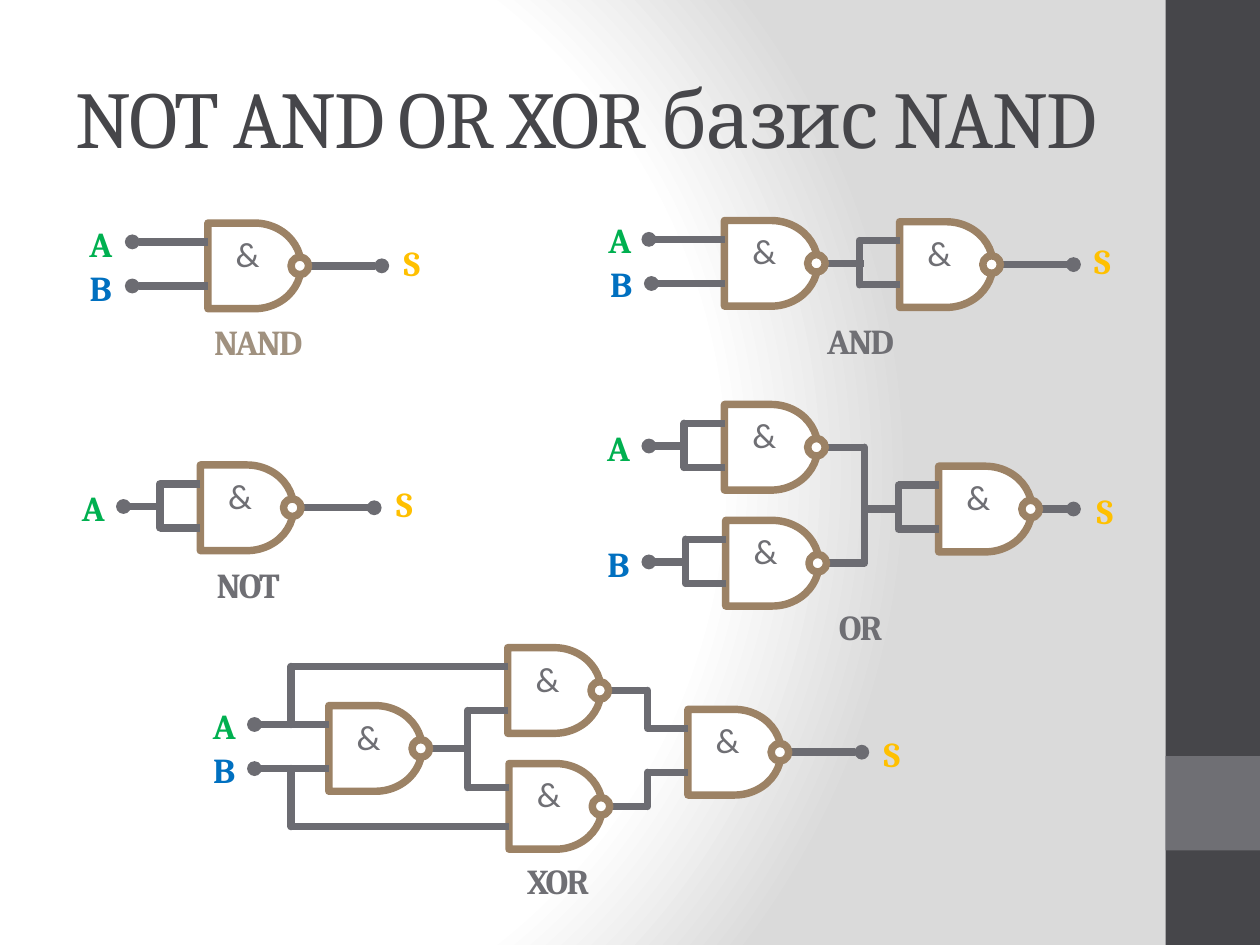
from dataclasses import dataclass

from lxml import etree
from pptx import Presentation
from pptx.dml.color import RGBColor
from pptx.enum.shapes import MSO_CONNECTOR, MSO_SHAPE
from pptx.enum.text import MSO_ANCHOR, MSO_AUTO_SIZE, PP_ALIGN
from pptx.oxml import parse_xml
from pptx.oxml.ns import nsdecls, qn
from pptx.util import Cm, Length, Pt

RECTANGLE, DELAY, OVAL = MSO_SHAPE.RECTANGLE, MSO_SHAPE.FLOWCHART_DELAY, MSO_SHAPE.OVAL
STRAIGHT = MSO_CONNECTOR.STRAIGHT
MIDDLE = MSO_ANCHOR.MIDDLE
LEFT, CENTER = PP_ALIGN.LEFT, PP_ALIGN.CENTER

DARK, GRAY, WIRE, BROWN, WHITE = "46464A", "6F6F74", "6C6C72", "9C8265", "FFFFFF"
GREEN, BLUE, YELLOW, TAN = "00B050", "0070C0", "FFC000", "A0917F"
LINE_WIDTH = Pt(4.25)
GATE_WIDTH, GATE_HEIGHT, BUBBLE = 0.74, 0.68, 0.14
FORK = 0.32  # distance from a gate to the fork joining its inputs
Point = tuple[float, float]


@dataclass
class Gate:
    left: float
    top: float

    @property
    def input_a(self) -> Point:
        return self.left, self.top + 0.15

    @property
    def input_b(self) -> Point:
        return self.left, self.top + 0.5

    @property
    def output(self) -> Point:
        return self.left + 0.8, self.top + 0.34

    @property
    def fork(self) -> Point:
        return self.left - FORK, self.top + 0.33


@dataclass
class Wire:
    points: list[Point]
    dot: bool = False


@dataclass
class Label:
    text: str
    left: float
    top: float
    color: str
    width: float = 0.5


@dataclass
class Circuit:
    gates: list[Gate]
    wires: list[Wire]
    labels: list[Label]


def grid(units: float) -> Length:
    """The drawing grid has units of 2.54 cm."""
    return Cm(2.54 * units)


def rgb(color: str) -> RGBColor:
    return RGBColor.from_string(color)


def terminal(start: Point, end_x: float) -> Wire:
    return Wire([start, (end_x, start[1])], dot=True)


def joined_inputs(gate: Gate) -> Wire:
    x = gate.fork[0]
    return Wire([gate.input_a, (x, gate.input_a[1]), (x, gate.input_b[1]), gate.input_b])


def step(start: Point, x: float, end: Point) -> Wire:
    return Wire([start, (x, start[1]), (x, end[1]), end])


def add_block(shapes, kind, left, top, width, height, fill, outline=None):
    shape = shapes.add_shape(kind, grid(left), grid(top), grid(width), grid(height))
    shape.shadow.inherit = False
    shape.fill.solid()
    shape.fill.fore_color.rgb = rgb(fill)
    if outline:
        shape.line.color.rgb = rgb(outline)
        shape.line.width = LINE_WIDTH
    else:
        shape.line.fill.background()
    return shape


def write(shape, text: str, font: str, size: float, color: str,
          bold: bool = False, tight: bool = False, align=CENTER) -> None:
    frame = shape.text_frame
    frame.word_wrap = True
    frame.vertical_anchor = MIDDLE
    paragraph = frame.paragraphs[0]
    run = paragraph.add_run()
    run.text = text
    if tight:
        run.font._element.set("spc", "-100")
    paragraph.alignment = align
    paragraph.font.name, paragraph.font.size = font, Pt(size)
    paragraph.font.bold = bold
    paragraph.font.color.rgb = rgb(color)


def add_segment(shapes, start: Point, end: Point, dot: bool) -> None:
    connector = shapes.add_connector(STRAIGHT, *map(grid, start + end))
    connector.line.color.rgb = rgb(WIRE)
    connector.line.width = LINE_WIDTH
    line = connector.line._get_or_add_ln()
    if start[0] == end[0]:
        line.set("cap", "rnd")  # round the corners of bends
    if dot:
        etree.SubElement(line, qn("a:tailEnd"), type="oval", w="sm", len="sm")
    etree.SubElement(connector._element.spPr, qn("a:effectLst"))


def add_circuit(slide, circuit: Circuit) -> None:
    shapes = slide.shapes.add_group_shape().shapes
    for gate in circuit.gates:
        body = add_block(shapes, DELAY, gate.left, gate.top, GATE_WIDTH, GATE_HEIGHT, WHITE, BROWN)
        write(body, "&", "Calibri", 20, GRAY)
        body.text_frame.margin_top = 0
        body.text_frame.margin_bottom = Cm(0.5)
    for wire in circuit.wires:
        last = len(wire.points) - 2
        for index, (start, end) in enumerate(zip(wire.points, wire.points[1:])):
            add_segment(shapes, start, end, wire.dot and index == last)
    for gate in circuit.gates:
        x, y = gate.output
        add_block(shapes, OVAL, x - BUBBLE, y - BUBBLE / 2, BUBBLE, BUBBLE, WHITE, BROWN)
    for label in circuit.labels:
        box = shapes.add_textbox(grid(label.left), grid(label.top), grid(label.width), grid(0.3))
        write(box, label.text, "Cambria", 20, label.color, bold=True, tight=True)


def build_circuits() -> list[Circuit]:
    nand, inverter = Gate(1.65, 1.77), Gate(1.59, 3.69)
    and_first, and_last = Gate(5.75, 1.75), Gate(7.14, 1.76)
    or_upper, or_lower, or_last = Gate(5.75, 3.21), Gate(5.76, 4.13), Gate(7.45, 3.7)
    xor_first, xor_upper = Gate(2.61, 5.6), Gate(4.03, 5.14)
    xor_lower, xor_last = Gate(4.04, 6.06), Gate(5.46, 5.63)
    or_bus, xor_tap, xor_fork, xor_bend = 6.86, 2.31, 3.71, 5.14
    return [
        Circuit([nand],
                [terminal(nand.input_a, 1.05), terminal(nand.input_b, 1.05),
                 terminal(nand.output, 3.03)],
                [Label("A", 0.55, 1.78, GREEN), Label("B", 0.55, 2.13, BLUE),
                 Label("S", 3.02, 1.93, YELLOW), Label("NAND", 1.55, 2.56, TAN, 1)]),
        Circuit([inverter],
                [joined_inputs(inverter), terminal(inverter.fork, 0.98),
                 terminal(inverter.output, 2.97)],
                [Label("A", 0.49, 3.88, GREEN), Label("S", 2.96, 3.85, YELLOW),
                 Label("NOT", 1.47, 4.49, GRAY, 1)]),
        Circuit([and_first, and_last],
                [terminal(and_first.input_a, 5.15), terminal(and_first.input_b, 5.17),
                 Wire([and_first.output, (6.86, and_first.output[1])]),
                 joined_inputs(and_last), terminal(and_last.output, 8.52)],
                [Label("A", 4.67, 1.75, GREEN), Label("B", 4.68, 2.1, BLUE),
                 Label("S", 8.5, 1.92, YELLOW), Label("AND", 6.33, 2.55, GRAY, 1)]),
        Circuit([or_upper, or_lower, or_last],
                [joined_inputs(or_upper), terminal(or_upper.fork, 5.15),
                 joined_inputs(or_lower), terminal(or_lower.fork, 5.15),
                 step(or_upper.output, or_bus, or_lower.output),
                 Wire([(or_bus, or_last.output[1]), (or_last.fork[0], or_last.output[1])]),
                 joined_inputs(or_last), terminal(or_last.output, 8.52)],
                [Label("A", 4.66, 3.4, GREEN), Label("B", 4.66, 4.32, BLUE),
                 Label("S", 8.52, 3.9, YELLOW), Label("OR", 6.33, 4.82, GRAY, 1)]),
        Circuit([xor_first, xor_upper, xor_lower, xor_last],
                [terminal(xor_first.input_a, 2.02), terminal(xor_first.input_b, 2.02),
                 Wire([xor_upper.input_a, (xor_tap, xor_upper.input_a[1]),
                       (xor_tap, xor_first.input_a[1])]),
                 Wire([xor_lower.input_b, (xor_tap, xor_lower.input_b[1]),
                       (xor_tap, xor_first.input_b[1])]),
                 Wire([xor_first.output, (xor_fork, xor_first.output[1])]),
                 step(xor_upper.input_b, xor_fork, (xor_lower.left, 6.25)),
                 step(xor_upper.output, xor_bend, xor_last.input_a),
                 step(xor_lower.output, xor_bend, xor_last.input_b),
                 terminal(xor_last.output, 6.84)],
                [Label("A", 1.53, 5.61, GREEN), Label("B", 1.53, 5.96, BLUE),
                 Label("S", 6.83, 5.83, YELLOW), Label("XOR", 3.93, 6.84, GRAY, 1)]),
    ]


def set_background(slide) -> None:
    stops = "".join(f'<a:gs pos="{position}000"><a:srgbClr val="{color}"/></a:gs>'
                    for position, color in ((0, WHITE), (75, WHITE), (100, "DADADA")))
    slide._element.cSld.insert(0, parse_xml(
        f'<p:bg {nsdecls("p", "a")}><p:bgPr><a:gradFill rotWithShape="1"><a:gsLst>{stops}</a:gsLst>'
        '<a:path path="circle"><a:fillToRect l="20000" t="50000" r="100000" b="50000"/></a:path>'
        '</a:gradFill><a:effectLst/></p:bgPr></p:bg>'))


def main() -> None:
    presentation = Presentation()
    presentation.slide_width, presentation.slide_height = Cm(25.4), Cm(19.05)
    slide = presentation.slides.add_slide(presentation.slide_layouts[5])
    set_background(slide)

    # Side band
    add_block(slide.shapes, RECTANGLE, 9.25, 0, 0.75, 7.5, DARK)
    add_block(slide.shapes, RECTANGLE, 9.25, 6, 0.75, 0.75, GRAY)

    # Title
    title = slide.shapes.title
    title.left, title.top, title.width, title.height = map(grid, (0.5, 0.3, 8.33, 1.25))
    write(title, "NOT AND OR XOR базис NAND", "Cambria", 46, DARK, tight=True, align=LEFT)
    title.text_frame.auto_size = MSO_AUTO_SIZE.NONE

    # Logic circuits
    for circuit in build_circuits():
        add_circuit(slide, circuit)
    presentation.save("out.pptx")


if __name__ == "__main__":
    main()
